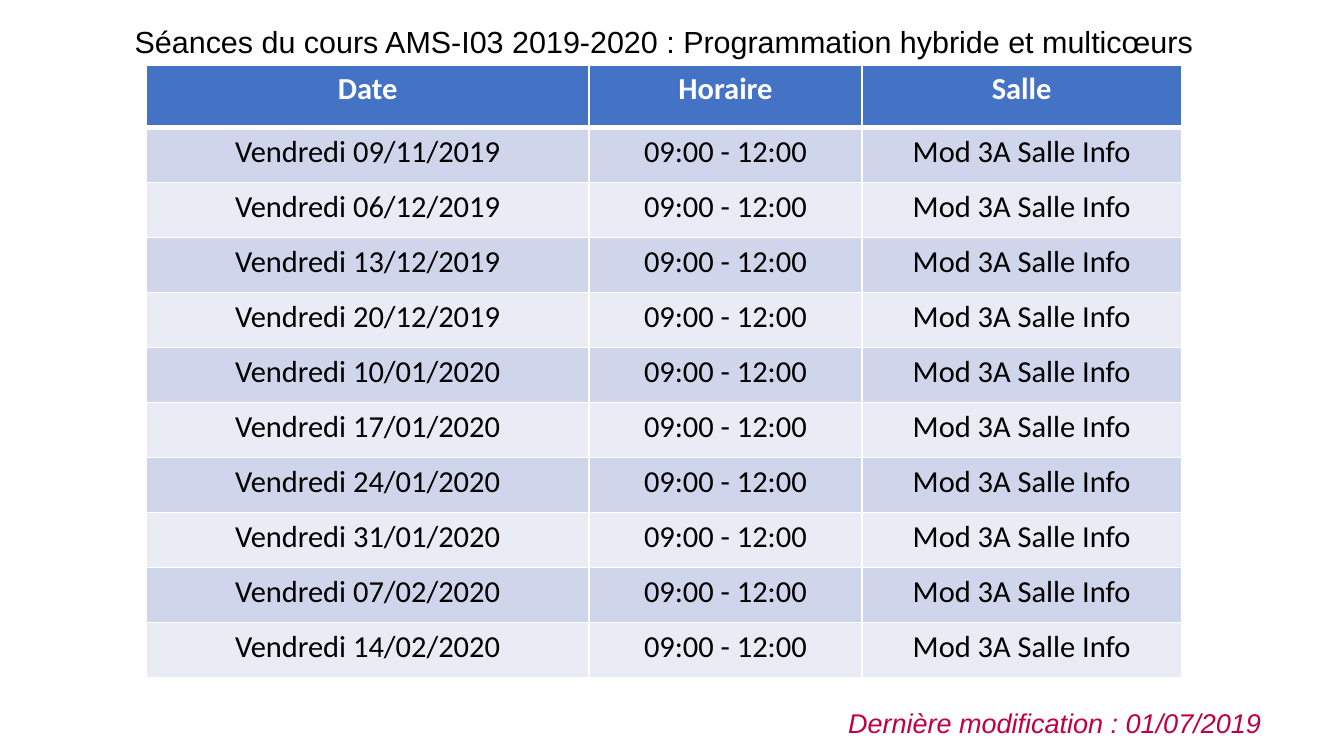
from lxml.etree import SubElement
from pptx import Presentation
from pptx.dml.color import RGBColor as Color
from pptx.enum.text import MSO_AUTO_SIZE as AutoSize, PP_ALIGN as Align
from pptx.oxml.ns import qn
from pptx.util import Cm, Pt

COLORS = {
    "black": "000000",
    "white": "FFFFFF",
    "header": "4472C4",
    "odd": "CFD5EA",
    "even": "E9EBF5",
    "note": "BF0041",
}
HEADINGS = ["Date", "Horaire", "Salle"]
DATES = [
    "09/11/2019", "06/12/2019", "13/12/2019", "20/12/2019", "10/01/2020",
    "17/01/2020", "24/01/2020", "31/01/2020", "07/02/2020", "14/02/2020",
]
COLUMN_WIDTHS = [9.22, 5.69, 6.65]
HEADER_HEIGHT, ROW_HEIGHT = 1.31, 1.145


class SlideBuilder:
    """Draws styled text boxes and tables on one slide."""

    def __init__(self, page):
        self.page = page

    def span(self, para, text, font, size, color, bold=False, italic=False):
        span = para.add_run()
        span.text = text
        span.font.name = font
        span.font.size = Pt(size)
        span.font.bold = bold
        span.font.italic = italic
        span.font.color.rgb = Color.from_string(COLORS[color])

    def text(self, left, top, width, height, text, size, color, align, italic=False):
        box = self.page.shapes.add_textbox(Cm(left), Cm(top), Cm(width), Cm(height))
        frame = box.text_frame
        frame.word_wrap = False
        frame.auto_size = AutoSize.SHAPE_TO_FIT_TEXT
        para = frame.paragraphs[0]
        para.alignment = align
        self.span(para, text, "Arial", size, color, italic=italic)

    def borders(self, cell, top, bottom):
        properties = cell._tc.get_or_add_tcPr()
        for side, width in {"L": 1, "R": 1, "T": top, "B": bottom}.items():
            line = SubElement(properties, qn(f"a:ln{side}"), w=str(Pt(width)))
            fill = SubElement(line, qn("a:solidFill"))
            SubElement(fill, qn("a:srgbClr"), val=COLORS["white"])

    def cell(self, cell, text, row):
        header = row == 0
        self.borders(cell, 3 if row == 1 else 1, 3 if header else 1)
        shade = "header" if header else "odd" if row % 2 else "even"
        cell.fill.solid()
        cell.fill.fore_color.rgb = Color.from_string(COLORS[shade])
        para = cell.text_frame.paragraphs[0]
        para.alignment = Align.CENTER
        self.span(para, text, "Calibri", 18, "white" if header else "black", bold=header)

    def table(self, left, top, widths, heights, rows):
        frame = self.page.shapes.add_table(
            len(rows), len(widths), Cm(left), Cm(top), Cm(sum(widths)), Cm(sum(heights))
        )
        table = frame.table
        for column, width in zip(table.columns, widths):
            column.width = Cm(width)
        for index, (height, values) in enumerate(zip(heights, rows)):
            table.rows[index].height = Cm(height)
            for column, value in enumerate(values):
                self.cell(table.cell(index, column), value, index)


def main():
    deck = Presentation()
    deck.slide_width, deck.slide_height = Cm(28), Cm(15.75)
    builder = SlideBuilder(deck.slides.add_slide(deck.slide_layouts[6]))
    builder.text(
        2.29, 0.36, 23.09, 0.99,
        "Séances du cours AMS-I03 2019-2020 : Programmation hybride et multicœurs",
        18, "black", Align.CENTER,
    )
    builder.text(
        17.42, 14.6, 9.22, 0.91, "Dernière modification : 01/07/2019",
        16, "note", Align.LEFT, italic=True,
    )
    sessions = [[f"Vendredi {date}", "09:00 - 12:00", "Mod 3A Salle Info"] for date in DATES]
    heights = [HEADER_HEIGHT] + [ROW_HEIGHT] * len(sessions)
    builder.table(3.05, 1.35, COLUMN_WIDTHS, heights, [HEADINGS] + sessions)
    deck.save("out.pptx")


if __name__ == "__main__":
    main()
